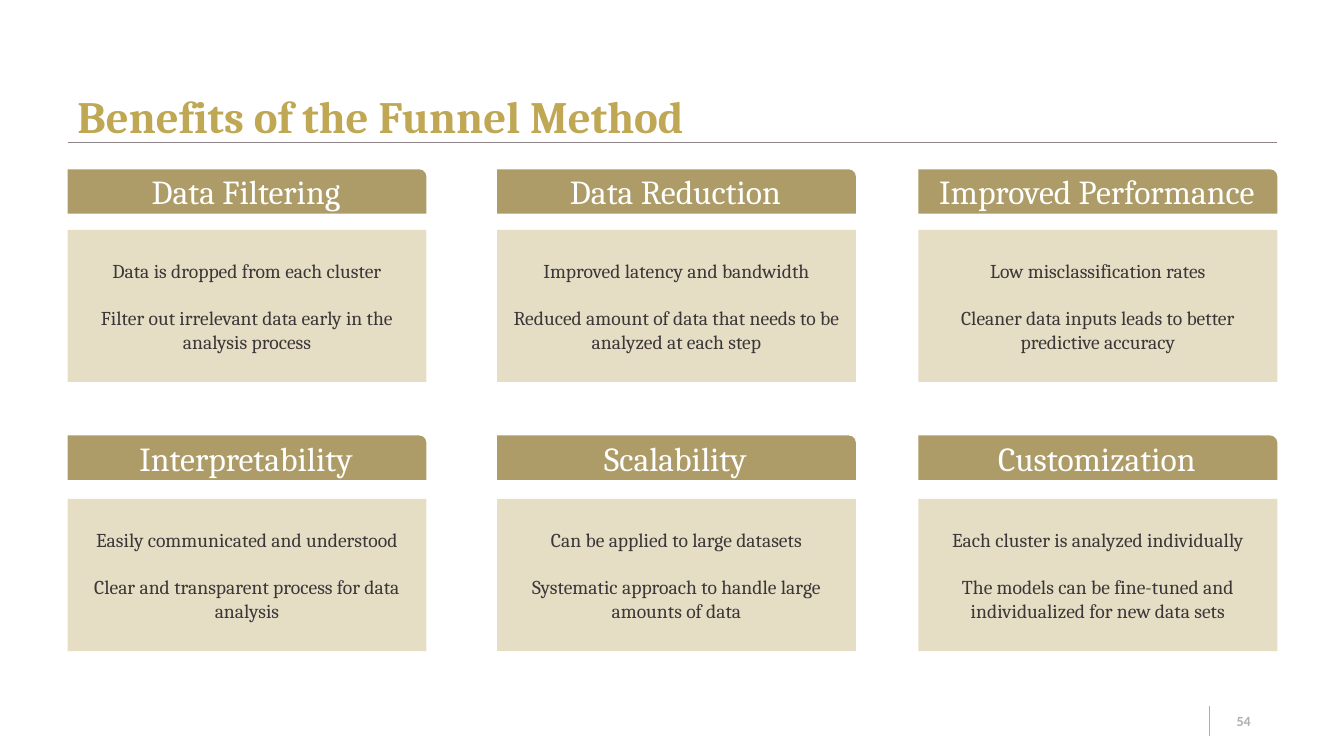
import pptx
import pptx.util
import pptx.dml.color
import pptx.enum.shapes
import pptx.enum.text
import pptx.oxml.ns
import lxml.etree

PX = 9144  # EMU per px, 100 px to the inch
COLORS = {
    "title": "BFA754",
    "header": "AD9C67",
    "panel": "E6DEC4",
    "body": "3B3739",
    "white": "FFFFFF",
    "rule": "8C8488",
    "footer": "B3ADB0",
}
SHAPES = pptx.enum.shapes.MSO_SHAPE
ALIGN = pptx.enum.text.PP_ALIGN
ANCHOR = pptx.enum.text.MSO_ANCHOR

COLUMNS = (67, 493, 911)
ROWS = ((168, 228), (432, 495))  # header top, panel top
CARD_WIDTH, HEADER_HEIGHT, PANEL_HEIGHT = 356, 44, 151
BENEFITS = (
    (
        ("Data Filtering", "Data is dropped from each cluster",
         "Filter out irrelevant data early in the analysis process"),
        ("Data Reduction", "Improved latency and bandwidth",
         "Reduced amount of data that needs to be analyzed at each step"),
        ("Improved Performance", "Low misclassification rates",
         "Cleaner data inputs leads to better predictive accuracy"),
    ),
    (
        ("Interpretability", "Easily communicated and understood",
         "Clear and transparent process for data analysis"),
        ("Scalability", "Can be applied to large datasets",
         "Systematic approach to handle large amounts of data"),
        ("Customization", "Each cluster is analyzed individually",
         "The models can be fine-tuned and individualized for new data sets"),
    ),
)


def emu(*lengths):
    return [pptx.util.Emu(length * PX) for length in lengths]


def rgb(name):
    return pptx.dml.color.RGBColor.from_string(COLORS[name])


def write(holder, *lines, size, color, font="Cambria", bold=False,
          align=ALIGN.CENTER, anchor=ANCHOR.MIDDLE, gap=0, spacing=None):
    frame = holder.text_frame
    frame.word_wrap = True
    frame.vertical_anchor = anchor
    for index, line in enumerate(lines):
        paragraph = frame.add_paragraph() if index else frame.paragraphs[0]
        paragraph.text = line
        paragraph.alignment = align
        paragraph.line_spacing = spacing
        if index:
            paragraph.space_before = pptx.util.Pt(gap)
        paragraph.font.size = pptx.util.Pt(size)
        paragraph.font.name = font
        paragraph.font.bold = bold
        paragraph.font.color.rgb = rgb(color)


def add_line(slide, x1, y1, x2, y2, color, width):
    line = slide.shapes.add_connector(
        pptx.enum.shapes.MSO_CONNECTOR.STRAIGHT, *emu(x1, y1, x2, y2))
    line.line.color.rgb = rgb(color)
    line.line.width = pptx.util.Pt(width)
    lxml.etree.SubElement(line._element.spPr, pptx.oxml.ns.qn("a:effectLst"))


def add_block(slide, kind, left, top, width, height, fill):
    block = slide.shapes.add_shape(kind, *emu(left, top, width, height))
    block.shadow.inherit = False
    block.fill.solid()
    block.fill.fore_color.rgb = rgb(fill)
    block.line.fill.background()
    return block


def add_card(slide, left, header_top, panel_top, heading, *points):
    header = add_block(slide, SHAPES.ROUND_1_RECTANGLE, left, header_top,
                       CARD_WIDTH, HEADER_HEIGHT, "header")
    write(header, heading, size=24, color="white")
    panel = add_block(slide, SHAPES.RECTANGLE, left, panel_top,
                      CARD_WIDTH, PANEL_HEIGHT, "panel")
    write(panel, *points, size=14, color="body", gap=16.8)


def main():
    deck = pptx.Presentation()
    deck.slide_width, deck.slide_height = emu(1333, 750)
    slide = deck.slides.add_slide(deck.slide_layouts[6])

    # Title and its rule
    add_line(slide, 67, 141, 1267, 141, "rule", 0.5)
    title = slide.shapes.add_textbox(*emu(67, 67, 1200, 80))
    write(title, "Benefits of the Funnel Method", size=32, color="title",
          bold=True, align=ALIGN.LEFT, anchor=ANCHOR.BOTTOM, spacing=0.9)

    # Benefit cards
    for (header_top, panel_top), benefits in zip(ROWS, BENEFITS):
        for left, benefit in zip(COLUMNS, benefits):
            add_card(slide, left, header_top, panel_top, *benefit)

    # Page number
    add_line(slide, 1200, 700, 1200, 730, "footer", 0.75)
    page_number = slide.shapes.add_textbox(*emu(1200, 695, 67, 40))
    write(page_number, "54", size=10, color="footer", font="Calibri", bold=True)

    deck.save("out.pptx")


if __name__ == "__main__":
    main()
